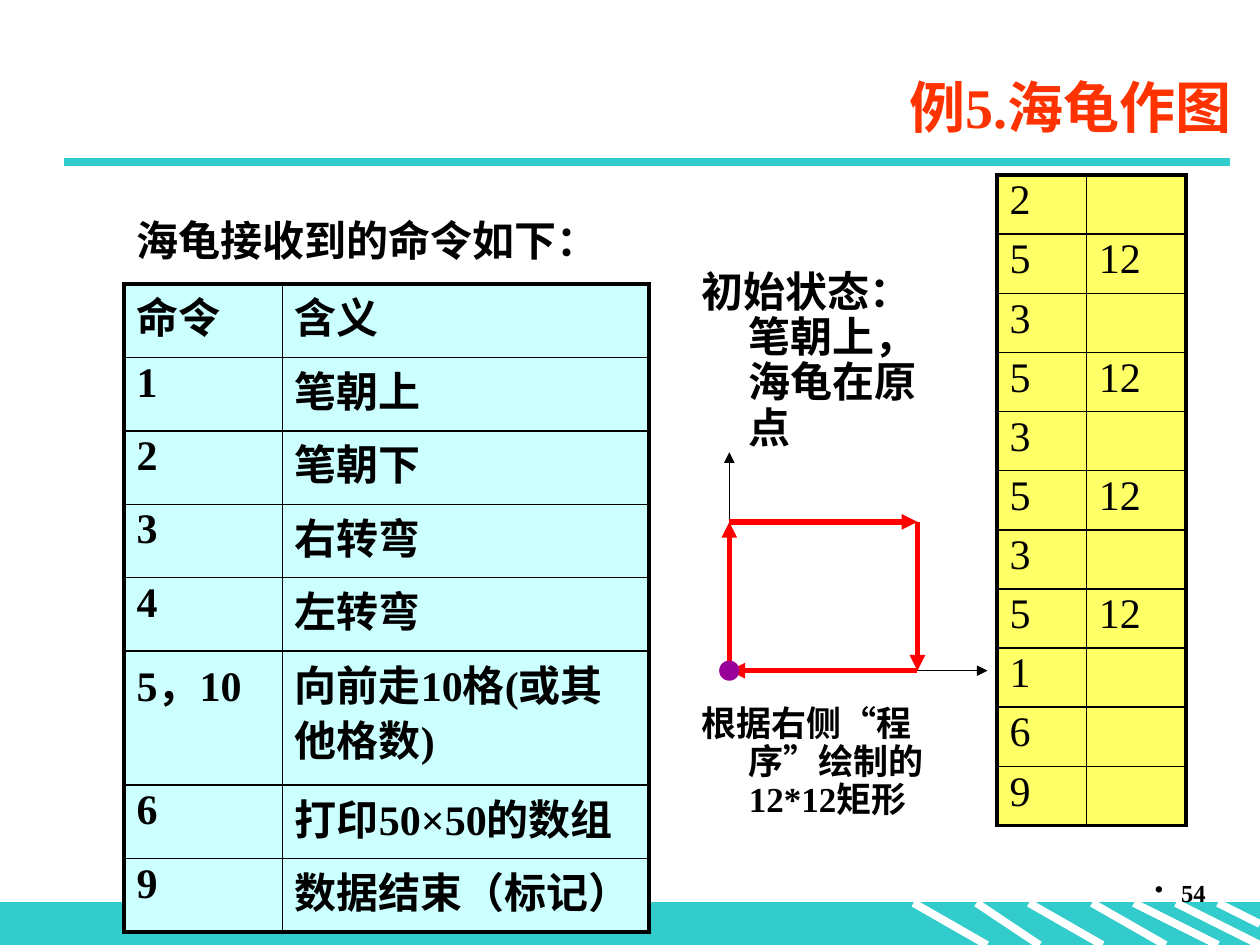
from lxml import etree
from pptx import Presentation
from pptx.dml.color import RGBColor as RGB
from pptx.enum.shapes import MSO_CONNECTOR as LINK, MSO_SHAPE as SHAPE
from pptx.enum.text import MSO_ANCHOR as ANCHOR, PP_ALIGN as ALIGN
from pptx.oxml import parse_xml
from pptx.oxml.ns import nsdecls, qn
from pptx.util import Pt

COLORS = {"teal": "33CCCC", "white": "FFFFFF", "black": "000000", "title": "FF3300",
          "commands": "CCFFFF", "program": "FFFF66", "path": "FF0000", "turtle": "990099"}
LATIN, CHINESE = "Times New Roman", "Noto Sans CJK SC"


def write(paragraph, text, size, bold=True, color="black", latin=LATIN):
    run = paragraph.add_run()
    run.text = text
    for name, value in {"size": Pt(size), "bold": bold, "name": latin}.items():
        setattr(run.font, name, value)
    run.font.color.rgb = RGB.from_string(COLORS[color])
    east_asian = etree.SubElement(run.font._element, qn("a:ea"))
    east_asian.set("typeface", CHINESE)


def draw_line(start, end, color, width, arrow=False):
    line = slide.shapes.add_connector(LINK.STRAIGHT, *map(Pt, start + end))
    line.line.color.rgb = RGB.from_string(COLORS[color])
    line.line.width = Pt(width)
    if arrow:
        etree.SubElement(line.line._get_or_add_ln(), qn("a:tailEnd")).set("type", "triangle")
    etree.SubElement(line._element.spPr, qn("a:effectLst"))


deck = Presentation()
deck.slide_width, deck.slide_height = Pt(720), Pt(540)
slide = deck.slides.add_slide(deck.slide_layouts[6])

# Footer band with slanted stripes, and the rule under the title
footer = slide.shapes.add_shape(SHAPE.RECTANGLE, Pt(0), Pt(516), Pt(720), Pt(24))
footer.shadow.inherit = False
footer.fill.solid()
footer.fill.fore_color.rgb = footer.line.color.rgb = RGB.from_string(COLORS["teal"])
footer.line.width = Pt(0.75)
for top_x, bottom_x, bottom_y in [(558, 594, 540), (522, 564, 540), (588, 630, 540),
                                  (672, 720, 540), (648, 696, 540), (696, 720, 528),
                                  (624, 666, 540)]:
    draw_line((top_x, 516), (bottom_x, bottom_y), "white", 4.5)
draw_line((36.75, 92.6), (702.75, 92.6), "teal", 4.5)

# Command table and the turtle's program
commands = [("命令", "含义"), ("1", "笔朝上"), ("2", "笔朝下"), ("3", "右转弯"),
            ("4", "左转弯"), ("5，10", "向前走10格(或其他格数)"),
            ("6", "打印50×50的数组"), ("9", "数据结束（标记）")]
side = [("5", "12"), ("3", "")]
program = [("2", "")] + side * 3 + side[:1] + [("1", ""), ("6", ""), ("9", "")]
command_heights = [76.6 if row[0] == "5，10" else 42 for row in commands]
tables = [
    (commands, 70.8, 162.2, (90.5, 209.5), command_heights, "commands", True),
    (program, 569.8, 100, (51, 57), [33.8] * len(program), "program", False),
]
for rows, left, top, widths, heights, fill, bold in tables:
    table = slide.shapes.add_table(len(rows), 2, Pt(left), Pt(top),
                                   Pt(sum(widths)), Pt(sum(heights))).table
    table.first_row = table.horz_banding = False
    for column, width in zip(table.columns, widths):
        column.width = Pt(width)
    for r, (row, height) in enumerate(zip(rows, heights)):
        table.rows[r].height = Pt(height)
        for c, text in enumerate(row):
            cell = table.cell(r, c)
            cell.fill.solid()
            cell.fill.fore_color.rgb = RGB.from_string(COLORS[fill])
            outer = {"L": c == 0, "R": c == 1, "T": r == 0, "B": r == len(rows) - 1}
            for place, (edge, is_outer) in enumerate(outer.items()):
                width = Pt(2.25 if is_outer else 1)
                cell._tc.get_or_add_tcPr().insert(place, parse_xml(
                    f'<a:ln{edge} {nsdecls("a")} w="{width}"><a:solidFill>'
                    f'<a:srgbClr val="{COLORS["black"]}"/></a:solidFill></a:ln{edge}>'))
            paragraph = cell.text_frame.paragraphs[0]
            paragraph.line_spacing = 0.9
            if text:
                write(paragraph, text, 24, bold)
            else:
                paragraph.font.size = Pt(18)

# Axes and the rectangle walked by the turtle
origin, top_left = (416.75, 383.25), (416.75, 298.25)
top_right, bottom_right = (524.25, 298.25), (524.25, 383.25)
draw_line(origin, (416.75, 258.5), "black", 0.75, arrow=True)
draw_line(origin, (564.25, 383.25), "black", 0.75, arrow=True)
corners = [origin, top_left, top_right, bottom_right, origin]
for start, end in zip(corners, corners[1:]):
    draw_line(start, end, "path", 3, arrow=True)
turtle = slide.shapes.add_shape(SHAPE.OVAL, Pt(411), Pt(377.5), Pt(11.5), Pt(11.5))
turtle.shadow.inherit = False
turtle.fill.solid()
turtle.fill.fore_color.rgb = RGB.from_string(COLORS["turtle"])
turtle.line.fill.background()

# Title, captions and page number
captions = [
    ((99, 32, 612, 57), [("例5.海龟作图", LATIN)], 32, "title", 0,
     {"alignment": ALIGN.RIGHT}),
    ((70.8, 122.4, 280, 34), [("海龟接收到的命令如下：", LATIN)], 24, "black", 0,
     {"line_spacing": 0.9}),
    ((393.8, 151.2, 147.6, 111), [("初始状态：笔朝上，海龟在原点", LATIN)], 24, "black", 27,
     {"line_spacing": 0.9}),
    ((393.8, 400.3, 153.4, 72),
     [("根据右侧", LATIN), ("“", CHINESE), ("程序", LATIN), ("”", CHINESE),
      ("绘制的12*12矩形", LATIN)], 20, "black", 27, {"line_spacing": 0.9}),
    ((546, 498, 150, 36), [("54", LATIN)], 14, "black", 15, {"alignment": ALIGN.RIGHT}),
]
for box, runs, size, color, hanging, formats in captions:
    frame = slide.shapes.add_textbox(*map(Pt, box)).text_frame
    frame.word_wrap = True
    frame.vertical_anchor = ANCHOR.MIDDLE if color == "title" else ANCHOR.TOP
    paragraph = frame.paragraphs[0]
    for name, value in formats.items():
        setattr(paragraph, name, value)
    if hanging:
        properties = paragraph._p.get_or_add_pPr()
        properties.set("marL", str(Pt(hanging)))
        properties.set("indent", str(-Pt(hanging)))
        if runs[0][0] == "54":
            etree.SubElement(properties, qn("a:buChar")).set("char", "•")
    for text, latin in runs:
        write(paragraph, text, size, color=color, latin=latin)

deck.save("out.pptx")
